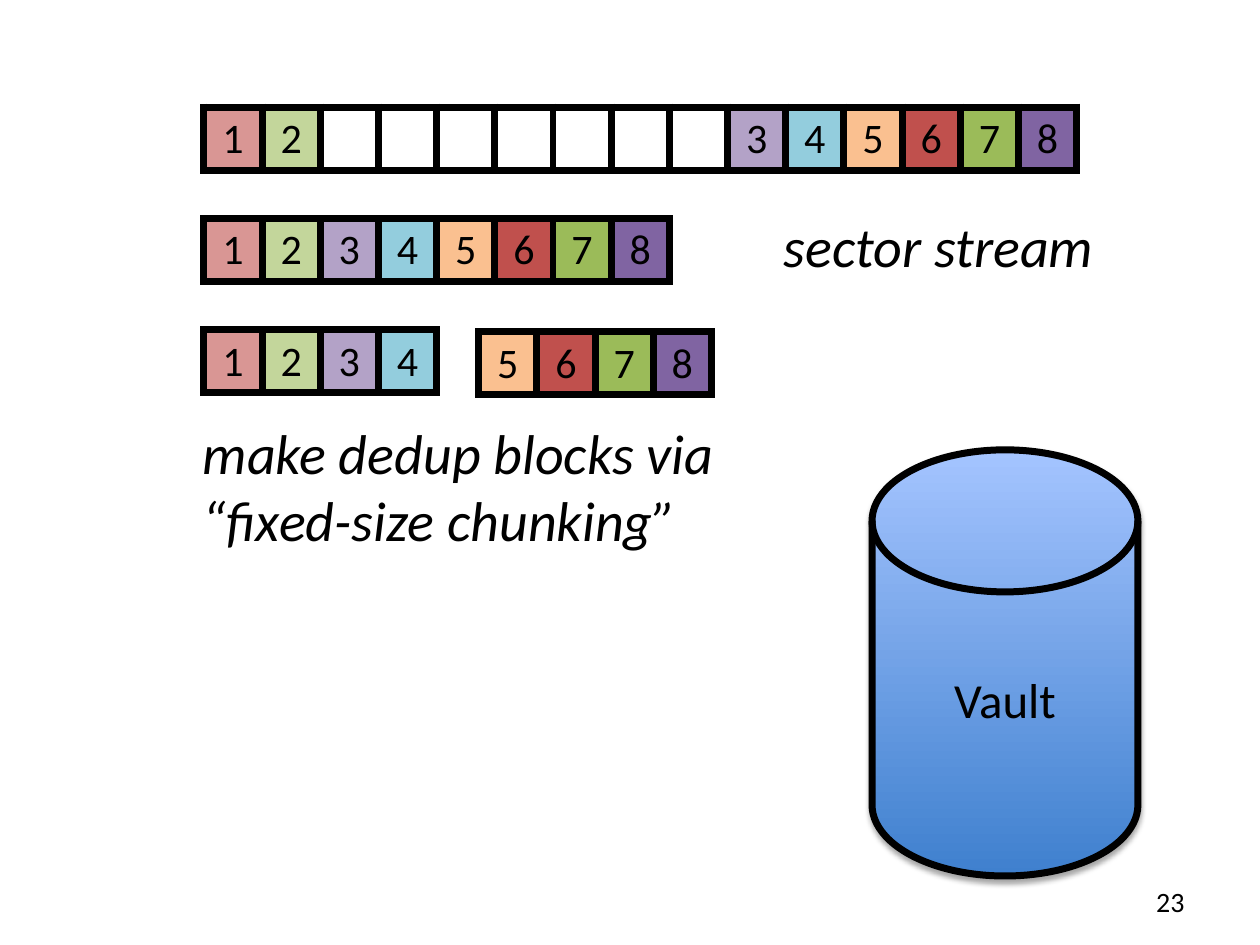
from lxml import etree
from pptx import Presentation
from pptx.dml.color import RGBColor
from pptx.enum.shapes import MSO_SHAPE
from pptx.enum.text import MSO_ANCHOR, PP_ALIGN
from pptx.oxml import parse_xml
from pptx.util import Cm, Pt

DISK = MSO_SHAPE.FLOWCHART_MAGNETIC_DISK
MIDDLE, TOP = MSO_ANCHOR.MIDDLE, MSO_ANCHOR.TOP
LEFT, CENTER, RIGHT = PP_ALIGN.LEFT, PP_ALIGN.CENTER, PP_ALIGN.RIGHT
NS = "http://schemas.openxmlformats.org/drawingml/2006/main"
COLORS = {
    "ink": "000000", "blank": "FFFFFF", "disk_low": "3F80CE", "disk_high": "A4C4FF",
    "1": "D99694", "2": "C3D69B", "3": "B3A2C7", "4": "93CDDD",
    "5": "FAC090", "6": "C0504D", "7": "9BBB59", "8": "8064A2",
}
CELL_W, CELL_H = Cm(17.6) // 15, Cm(1.27)
NOTE = {"size": Pt(32), "italic": True}


def rgb(name):
    """Return the named colour."""
    return RGBColor.from_string(COLORS[name])


def write(tf, lines, align, fmt):
    """Write one paragraph per line in the given format."""
    for i, line in enumerate(lines):
        p = tf.add_paragraph() if i else tf.paragraphs[0]
        p.alignment = align
        r = p.add_run()
        r.text = line
        r.font.color.rgb = rgb("ink")
        for key, value in {"name": "Calibri", **fmt}.items():
            setattr(r.font, key, value)


def add_label(s, box, lines, align, fmt, anchor=TOP):
    """Add a text box without wrapping."""
    tf = s.shapes.add_textbox(*map(Cm, box)).text_frame
    tf.word_wrap = False
    tf.vertical_anchor = anchor
    write(tf, lines, align, fmt)


def add_borders(cell):
    """Draw a thick line on all four sides of a cell."""
    tcPr = cell._tc.get_or_add_tcPr()
    for i, side in enumerate(("lnL", "lnR", "lnT", "lnB")):
        tcPr.insert(i, parse_xml(
            f'<a:{side} xmlns:a="{NS}" w="{Pt(4.5)}"><a:solidFill>'
            f'<a:srgbClr val="{COLORS["ink"]}"/></a:solidFill></a:{side}>'))


def add_sectors(s, left, top, sectors):
    """Add a one-row table of sectors, where a space is an empty sector."""
    n = len(sectors)
    table = s.shapes.add_table(1, n, Cm(left), Cm(top), CELL_W * n, CELL_H).table
    table.first_row = table.horz_banding = False
    for column, cell, sector in zip(table.columns, table.rows[0].cells, sectors):
        column.width = CELL_W
        cell.fill.solid()
        cell.fill.fore_color.rgb = rgb("blank" if sector == " " else sector)
        add_borders(cell)
        if sector != " ":
            write(cell.text_frame, [sector], CENTER, {"size": Pt(24)})


def add_disk(s, box, name):
    """Add the storage cylinder with its gradient and shadow."""
    sp = s.shapes.add_shape(DISK, *map(Cm, box))
    sp.fill.gradient()
    sp.fill.gradient_angle = 90
    for stop, color, position in zip(sp.fill.gradient_stops, ("disk_low", "disk_high"), (0, 1)):
        stop.color.rgb = rgb(color)
        stop.position = position
    sp.line.color.rgb = rgb("ink")
    sp.line.width = Pt(4)
    sp.shadow.inherit = False
    effects = sp._element.spPr.find(f"{{{NS}}}effectLst")
    shadow = etree.SubElement(effects, f"{{{NS}}}outerShdw", blurRad=str(Pt(3.1)),
                              dist=str(Pt(1.8)), dir="5400000", rotWithShape="0")
    color = etree.SubElement(shadow, f"{{{NS}}}srgbClr", val=COLORS["ink"])
    etree.SubElement(color, f"{{{NS}}}alpha", val="35000")
    sp.text_frame.vertical_anchor = MIDDLE
    write(sp.text_frame, [name], CENTER, {"size": Pt(28)})


def main():
    """Build and save the slide."""
    prs = Presentation()
    prs.slide_width, prs.slide_height = Cm(25.4), Cm(19.05)
    s = prs.slides.add_slide(prs.slide_layouts[6])
    add_label(s, (18.21, 17.65, 5.92, 1.02), ["23"], RIGHT, {"size": Pt(16)}, MIDDLE)
    add_disk(s, (17.58, 9.07, 5.36, 8.59), "Vault")
    for left, top, sectors in ((4.11, 2.16, "12" + " " * 7 + "345678"),
                               (4.11, 4.41, "12345678"),
                               (4.11, 6.65, "1234"),
                               (9.65, 6.69, "5678")):
        add_sectors(s, left, top, sectors)
    add_label(s, (15.37, 4.14, 7.11, 1.63), ["sector stream"], CENTER, NOTE)
    add_label(s, (3.84, 8.31, 11.23, 3), ["make dedup blocks via", "“fixed-size chunking”"], LEFT, NOTE)
    prs.save("out.pptx")


if __name__ == "__main__":
    main()
